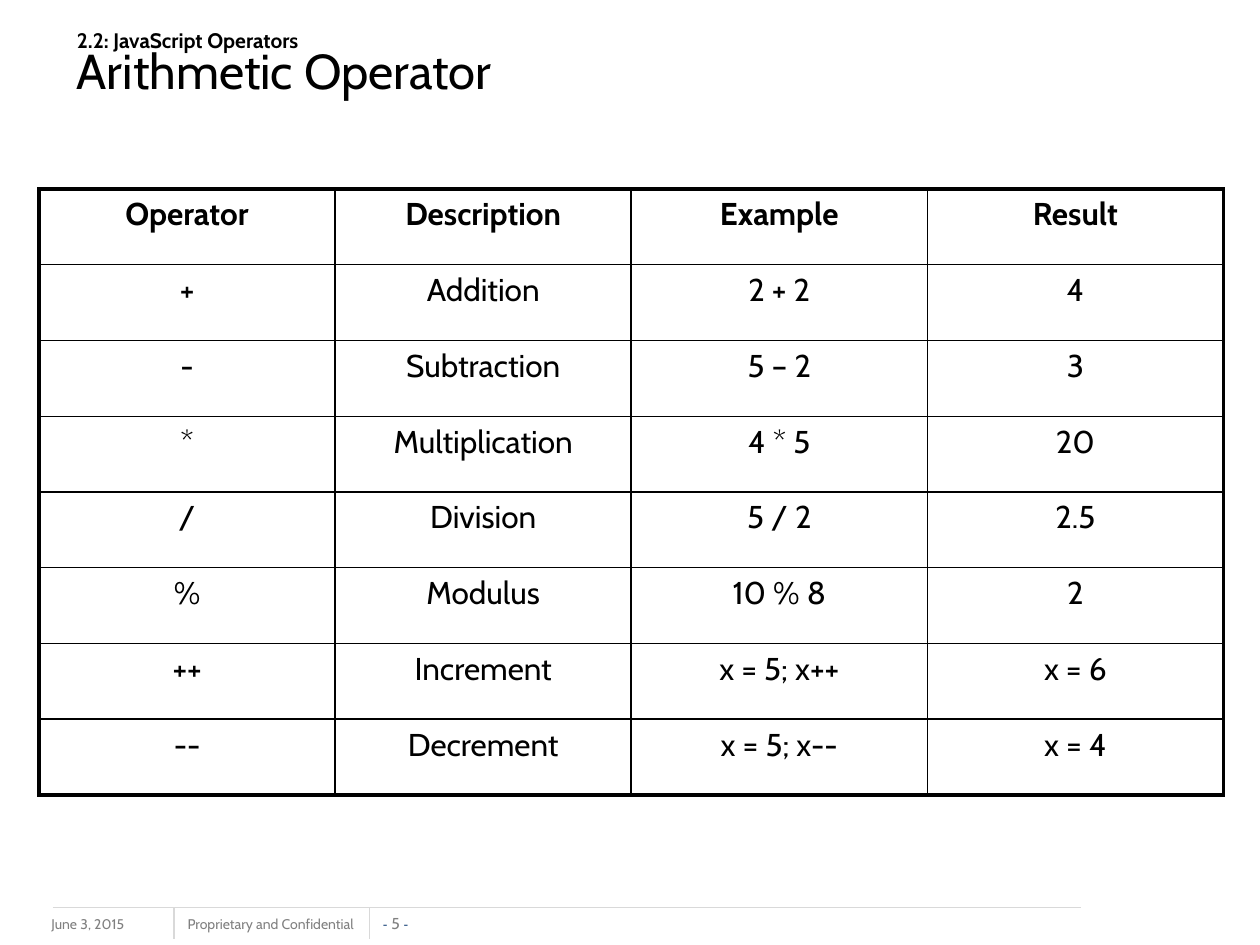
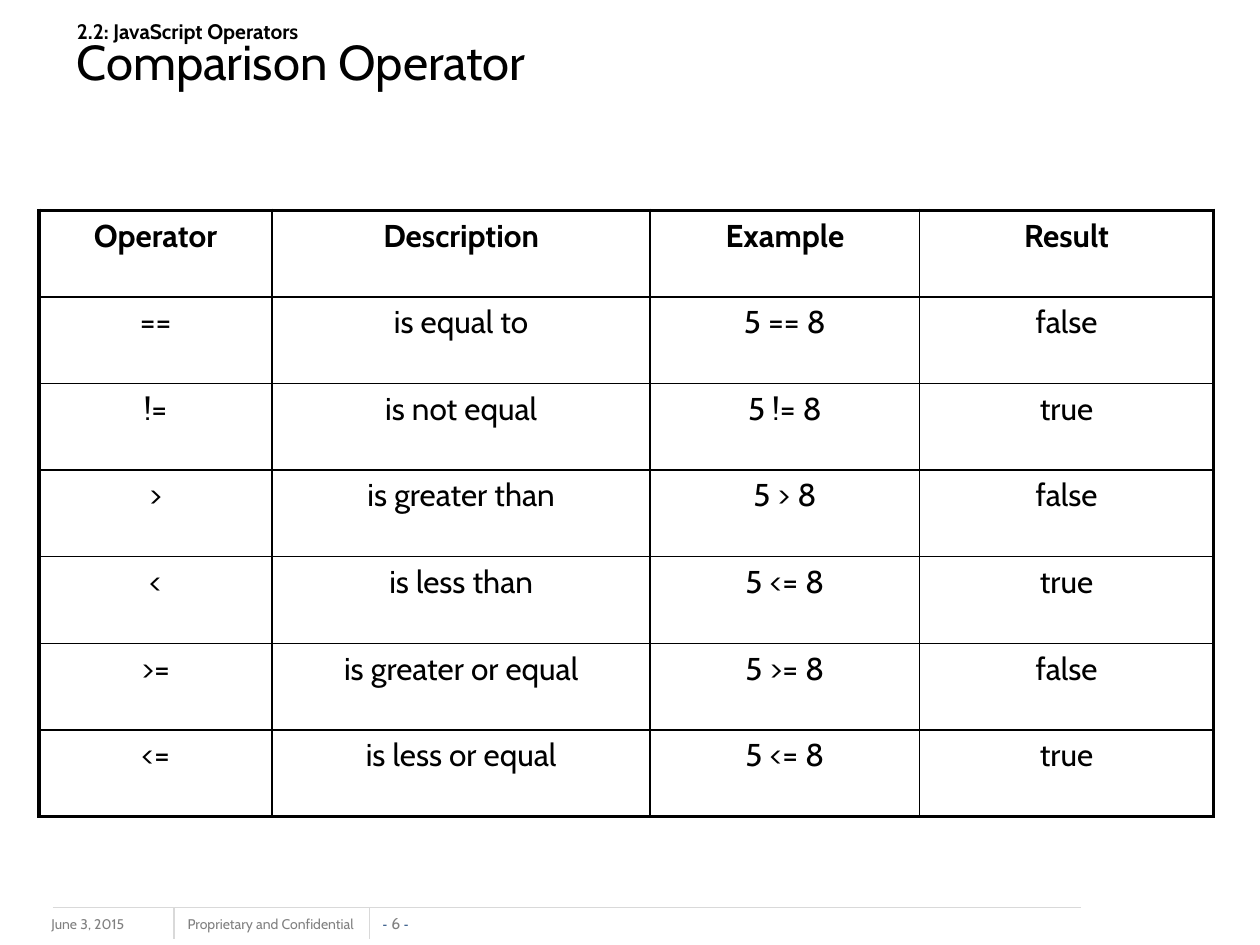
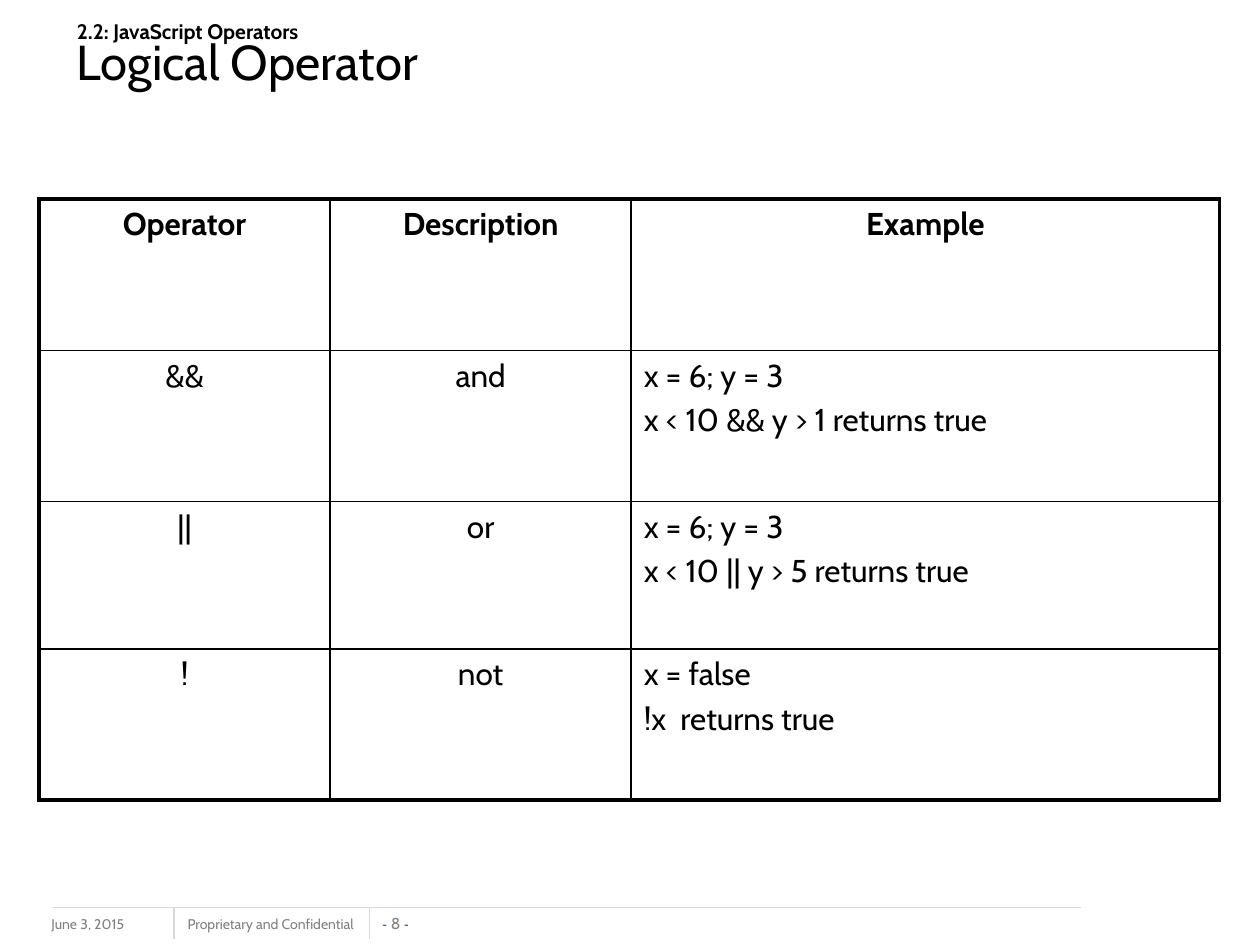
from copy import deepcopy
from dataclasses import dataclass

from lxml import etree
from pptx import Presentation
from pptx import util as u
from pptx.dml.color import RGBColor
from pptx.enum import shapes, text
from pptx.oxml.ns import qn


@dataclass(frozen=True)
class Theme:
    """Colours, fonts, type sizes and line widths of the deck."""
    font: str = "Cabin"
    dash_font: str = "Arial"
    ink: str = "000000"
    muted: str = "808080"
    dash: str = "1F497D"
    rule: str = "D9D9D9"
    title: float = 28
    section: float = 12
    body: float = 18
    number: float = 9
    footer: float = 8
    para_gap: float = 3.6
    frame: float = 2.25
    grid: float = 1
    hairline: float = 0.75


T = Theme()
SECTION = "2.2: JavaScript Operators"
DATE = "June 3, 2015"
NOTICE = "Proprietary and Confidential"
HEADER = ["Operator", "Description", "Example", "Result"]
LEFT = 0.31
FOOTER_TOP = 7.2

ARITHMETIC = [
    HEADER,
    ["+", "Addition", "2 + 2", "4"],
    ["-", "Subtraction", "5 – 2", "3"],
    ["*", "Multiplication", "4 * 5", "20"],
    ["/", "Division", "5 / 2", "2.5"],
    ["%", "Modulus", "10 % 8", "2"],
    ["++", "Increment", "x = 5; x++", "x = 6"],
    ["--", "Decrement", "x = 5; x--", "x = 4"],
]
COMPARISON = [
    HEADER,
    ["==", "is equal to", "5 == 8", "false"],
    ["!=", "is not equal", "5 != 8", "true"],
    [">", "is greater than", "5 > 8", "false"],
    ["<", "is less than", "5 <= 8", "true"],
    [">=", "is greater or equal", "5 >= 8", "false"],
    ["<=", "is less or equal", "5 <= 8", "true"],
]
LOGICAL = [
    HEADER[:3],
    ["&&", "and", "x = 6; y = 3\nx < 10 && y > 1 returns true"],
    ["||", "or", "x = 6; y = 3\nx < 10 || y > 5 returns true"],
    ["!", "not", "x = false\n!x  returns true"],
]


def add_run(p, content, size=T.body, font=T.font, color=T.ink, bold=False):
    """Append a formatted run to a paragraph."""
    r = p.add_run()
    r.text = content
    r.font.name = font
    r.font.size = u.Pt(size)
    r.font.bold = bold
    r.font.color.rgb = RGBColor.from_string(color)
    return r


def add_box(slide, left, top, width, height, wrap=True):
    """Add an empty text box and return its text frame."""
    box = slide.shapes.add_textbox(*map(u.Inches, (left, top, width, height)))
    tf = box.text_frame
    tf.word_wrap = wrap
    return tf


def add_rule(slide, x1, y1, x2, y2):
    """Add a thin footer line."""
    line = slide.shapes.add_connector(
        shapes.MSO_CONNECTOR.STRAIGHT, *map(u.Inches, (x1, y1, x2, y2)))
    line.line.color.rgb = RGBColor.from_string(T.rule)
    line.line.width = u.Pt(T.hairline)
    etree.SubElement(line._element.spPr, qn("a:effectLst"))


def add_footer(slide, number):
    """Add the date, notice, page number and rules."""
    fmt = dict(size=T.footer, color=T.muted)
    add_run(add_box(slide, LEFT, 7.22, 1.33, 0.25).paragraphs[0], DATE, **fmt)
    tf = add_box(slide, 1.39, 7.22, 1.57, 0.24, wrap=False)
    add_run(tf.paragraphs[0], NOTICE, **fmt)

    tf = add_box(slide, 3.01, 7.25, 0.26, 0.15, wrap=False)
    tf.margin_left = tf.margin_right = tf.margin_top = tf.margin_bottom = 0
    tf.vertical_anchor = text.MSO_ANCHOR.BOTTOM
    p = tf.paragraphs[0]
    p.alignment = text.PP_ALIGN.CENTER
    dash = dict(size=T.footer, font=T.dash_font, color=T.dash)
    add_run(p, "- ", **dash)
    add_run(p, f"{number} ", size=T.number, color=T.muted)
    add_run(p, "-", **dash)

    add_rule(slide, 0.42, FOOTER_TOP, 8.58, FOOTER_TOP)
    for x in (1.38, 2.93):
        add_rule(slide, x, FOOTER_TOP, x, FOOTER_TOP + 0.25)


def set_title(slide, title, top):
    """Place the title under its section label."""
    sp = slide.shapes.title
    sp.left, sp.top, sp.width, sp.height = map(u.Inches, (0.51, top, 8.92, 0.78))
    tf = sp.text_frame
    tf.word_wrap = True
    tf.auto_size = text.MSO_AUTO_SIZE.NONE
    tf.vertical_anchor = text.MSO_ANCHOR.MIDDLE
    p = tf.paragraphs[0]
    p.alignment = text.PP_ALIGN.LEFT
    p.line_spacing = 0.8
    r = add_run(p, SECTION, size=T.section, bold=True)
    p.add_line_break()
    p._p[-1].append(deepcopy(r._r.rPr))
    add_run(p, title, size=T.title)


def set_borders(cell, **widths):
    """Draw the cell borders, given as L, R, T and B widths in points."""
    tc_pr = cell._tc.get_or_add_tcPr()
    for side, width in widths.items():
        ln = etree.SubElement(tc_pr, qn(f"a:ln{side}"), w=str(u.Pt(width)))
        fill = etree.SubElement(ln, qn("a:solidFill"))
        etree.SubElement(fill, qn("a:srgbClr"), val=T.ink)


def fill_cell(cell, content, bold):
    """Write cell text, centred unless it has several lines."""
    lines = content.split("\n")
    tf = cell.text_frame
    for i, line in enumerate(lines):
        p = tf.add_paragraph() if i else tf.paragraphs[0]
        p.alignment = text.PP_ALIGN.LEFT if len(lines) > 1 else text.PP_ALIGN.CENTER
        if i:
            p.space_before = u.Pt(T.para_gap)
        add_run(p, line, bold=bold)


def add_grid(slide, rows, top, widths, heights):
    """Add a framed table whose first row is the header."""
    n_rows, n_cols = len(rows), len(widths)
    frame = slide.shapes.add_table(
        n_rows, n_cols,
        *map(u.Inches, (LEFT, top, sum(widths), sum(heights))))
    table = frame.table
    table.first_row = table.horz_banding = False
    for col, width in zip(table.columns, widths):
        col.width = u.Inches(width)
    for row, height in zip(table.rows, heights):
        row.height = u.Inches(height)
    for i, row in enumerate(rows):
        for j, content in enumerate(row):
            cell = table.cell(i, j)
            fill_cell(cell, content, bold=i == 0)
            edges = dict(L=j == 0, R=j == n_cols - 1, T=i == 0, B=i == n_rows - 1)
            set_borders(cell, **{side: T.frame if outer else T.grid
                                 for side, outer in edges.items()})
            cell.fill.background()


def add_operator_slide(prs, number, title, title_top, rows, top, widths, heights):
    """Add one slide with a title, an operator table and the footer."""
    slide = prs.slides.add_slide(prs.slide_layouts[5])
    add_footer(slide, number)
    add_grid(slide, rows, top, widths, heights)
    set_title(slide, title, title_top)


def main():
    """Build and save the deck."""
    prs = Presentation()
    prs.slide_width, prs.slide_height = u.Inches(10), u.Inches(7.5)
    add_operator_slide(prs, 5, "Arithmetic Operator", 0.13, ARITHMETIC,
                       1.5, [2.35] * 4, [4.81 / 8] * 8)
    add_operator_slide(prs, 6, "Comparison Operator", 0.06, COMPARISON,
                       1.67, [1.85, 3, 2.14, 2.33], [4.81 / 7] * 7)
    add_operator_slide(prs, 8, "Logical Operator", 0.06, LOGICAL,
                       1.58, [2.31, 2.39, 4.67], [1.2, 1.2, 1.17, 1.2])
    prs.save("out.pptx")


if __name__ == "__main__":
    main()
